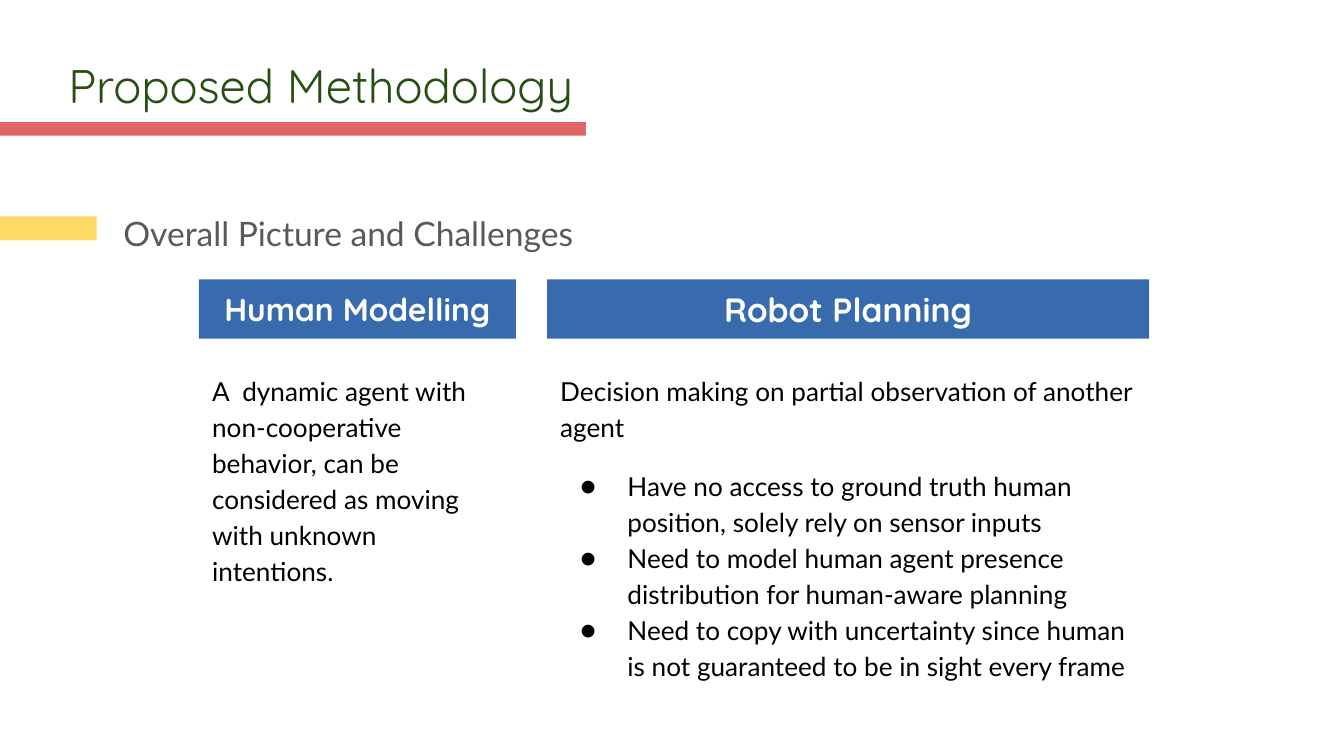
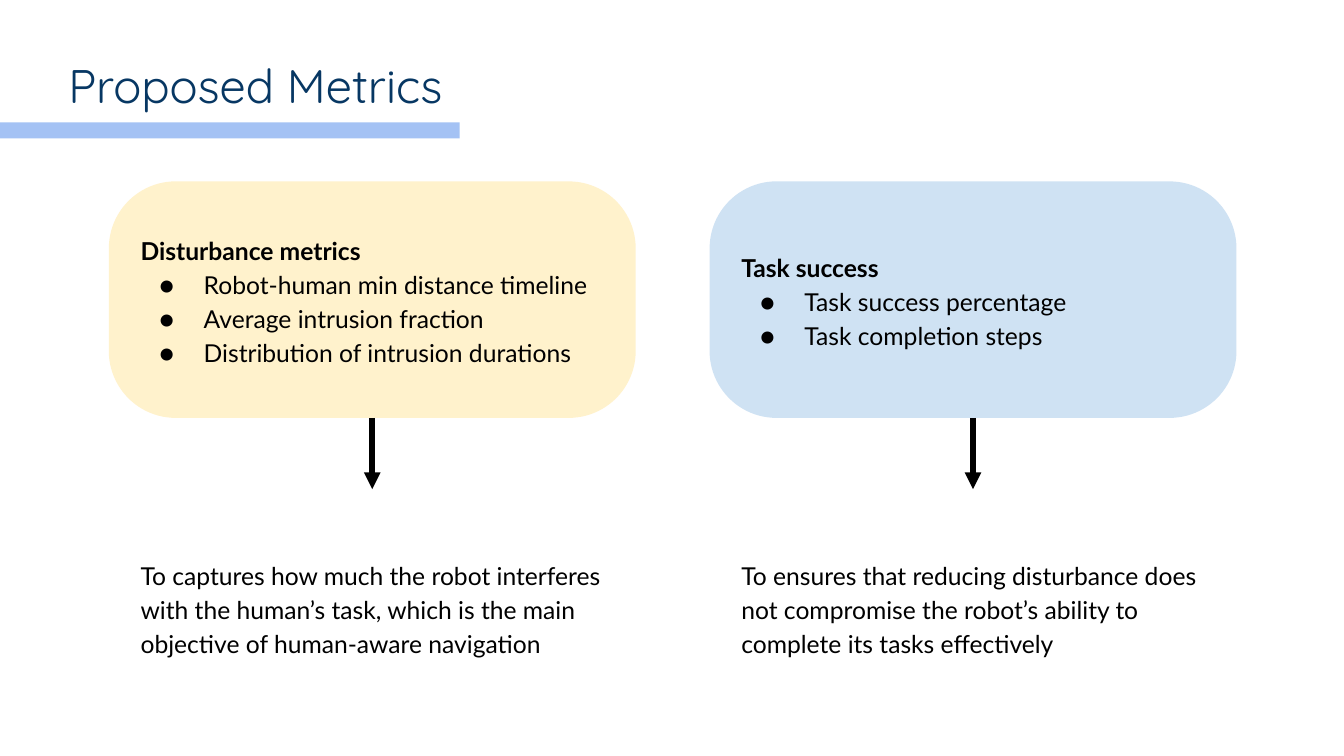
from lxml.etree import SubElement
from pptx import Presentation
from pptx.dml.color import RGBColor
from pptx.enum.shapes import MSO_CONNECTOR, MSO_SHAPE
from pptx.enum.text import MSO_ANCHOR, MSO_AUTO_SIZE, PP_ALIGN
from pptx.oxml.ns import qn
from pptx.util import Emu, Pt

PX = 9144  # 100 px to the inch
SLIDE_WIDTH = 1000
BODY_FONT, HEADING_FONT = "Lato", "Quicksand"
BLACK, WHITE, GREY = "000000", "FFFFFF", "595959"
HEADER_BLUE, MARKER_YELLOW = "386BAE", "FFD966"

METHODOLOGY = {
    "title": "Proposed Methodology", "title_color": "274E13",
    "band_color": "E06666", "band_size": (436, 10),
}
SUBTITLE = "Overall Picture and Challenges"
COLUMNS = [
    {"heading": "Human Modelling", "size": 17, "width": 236, "body_height": 152,
     "body": "A  dynamic agent with non-cooperative behavior, can be considered "
             "as moving with unknown intentions.",
     "bullets": []},
    {"heading": "Robot Planning", "size": 18, "width": 448, "body_height": 250,
     "body": "Decision making on partial observation of another agent",
     "bullets": [
         "Have no access to ground truth human position, solely rely on sensor inputs",
         "Need to model human agent presence distribution for human-aware planning",
         "Need to copy with uncertainty since human is not guaranteed to be in sight "
         "every frame"]},
]
COLUMN_LEFT, COLUMN_GAP = 148, 23
HEADER_TOP, HEADER_HEIGHT, BODY_TOP = 208, 44, 266

METRICS = {
    "title": "Proposed Metrics", "title_color": "073763",
    "band_color": "A4C2F4", "band_size": (342, 12),
}
METRIC_CARDS = [
    {"heading": "Disturbance metrics", "fill": "FFF2CC",
     "bullets": ["Robot-human min distance timeline", "Average intrusion fraction",
                 "Distribution of intrusion durations"],
     "purpose": "To captures how much the robot interferes with the human’s task, "
                "which is the main objective of human-aware navigation"},
    {"heading": "Task success", "fill": "CFE2F3",
     "bullets": ["Task success percentage", "Task completion steps"],
     "purpose": "To ensures that reducing disturbance does not compromise the robot’s "
                "ability to complete its tasks effectively"},
]
CARD_LEFT, CARD_STEP, CARD_SIZE = 81, 447, (392, 176)
CARD_TOP, PURPOSE_TOP, CARD_ROUNDING = 135, 364, 0.283


def px(length):
    return Emu(length * PX)


def rgb(color):
    return RGBColor.from_string(color)


def set_values(target, values):
    for name, value in values.items():
        setattr(target, name, value)


def add_bullet(paragraph, indent, hanging):
    properties = paragraph._p.get_or_add_pPr()
    properties.set("marL", str(px(indent)))
    properties.set("indent", str(-px(hanging)))
    bullet_color = SubElement(properties, qn("a:buClr"))
    SubElement(bullet_color, qn("a:srgbClr"), val=BLACK)
    SubElement(properties, qn("a:buFont"), typeface=BODY_FONT)
    SubElement(properties, qn("a:buChar"), char="●")


def write_paragraph(frame, text, size, font=BODY_FONT, color=BLACK, bold=False,
                    bullet=None, **layout):
    """Fill the empty first paragraph, or append one; bullet is (indent, hanging)."""
    first = frame.paragraphs[0]
    paragraph = frame.add_paragraph() if first.runs else first
    if bullet:
        add_bullet(paragraph, *bullet)
    set_values(paragraph, layout)
    run = paragraph.add_run()
    run.text = text
    set_values(run.font, {"name": font, "size": Pt(size), "bold": bold})
    run.font.color.rgb = rgb(color)


def prepare_frame(shape, inset, **values):
    frame = shape.text_frame
    margins = dict.fromkeys(
        ("margin_left", "margin_top", "margin_right", "margin_bottom"), px(inset))
    set_values(frame, {"word_wrap": True, **margins, **values})
    return frame


def add_text(slide, left, top, width, height, **values):
    box = slide.shapes.add_textbox(px(left), px(top), px(width), px(height))
    return prepare_frame(box, 10, **values)


def add_block(slide, left, top, width, height, fill=None, kind=MSO_SHAPE.RECTANGLE):
    shape = slide.shapes.add_shape(kind, px(left), px(top), px(width), px(height))
    shape.shadow.inherit = False
    shape.line.fill.background()
    if fill:
        shape.fill.solid()
        shape.fill.fore_color.rgb = rgb(fill)
    else:
        shape.fill.background()
    return shape


def add_titled_slide(presentation, heading):
    slide = presentation.slides.add_slide(presentation.slide_layouts[6])
    frame = add_text(slide, 41, 32, 930, 59)
    write_paragraph(frame, heading["title"], 25.2, HEADING_FONT, heading["title_color"])
    add_block(slide, 0, 91, *heading["band_size"], heading["band_color"])
    return slide


def add_card(slide, left, top, fill=None):
    card = add_block(slide, left, top, *CARD_SIZE, fill, MSO_SHAPE.ROUNDED_RECTANGLE)
    card.adjustments[0] = CARD_ROUNDING
    frame = prepare_frame(card, 9, vertical_anchor=MSO_ANCHOR.MIDDLE)
    return card, frame


def add_arrow(slide, upper, lower):
    arrow = slide.shapes.add_connector(MSO_CONNECTOR.STRAIGHT, 0, 0, 0, 0)
    arrow.begin_connect(upper, 2)
    arrow.end_connect(lower, 0)
    arrow.line.width = Pt(3)
    arrow.line.color.rgb = rgb(BLACK)
    SubElement(arrow.line._get_or_add_ln(), qn("a:tailEnd"), type="triangle")
    SubElement(arrow._element.spPr, qn("a:effectLst"))


def build_methodology(presentation):
    slide = add_titled_slide(presentation, METHODOLOGY)
    growing = {"auto_size": MSO_AUTO_SIZE.SHAPE_TO_FIT_TEXT}
    subtitle = add_text(slide, 82, 144, 903, 50, **growing)
    write_paragraph(subtitle, SUBTITLE, 18, color=GREY, line_spacing=1.15,
                    space_after=Pt(12))
    add_block(slide, 0, 161, 72, 18, MARKER_YELLOW)

    left = COLUMN_LEFT
    for column in COLUMNS:
        width = column["width"]
        header = add_block(slide, left, HEADER_TOP, width, HEADER_HEIGHT, HEADER_BLUE)
        header_frame = prepare_frame(header, 10, vertical_anchor=MSO_ANCHOR.MIDDLE)
        write_paragraph(header_frame, column["heading"], column["size"], HEADING_FONT,
                        WHITE, bold=True, alignment=PP_ALIGN.CENTER)
        body = add_text(slide, left, BODY_TOP, width, column["body_height"], **growing)
        write_paragraph(body, column["body"], 14, line_spacing=1.15,
                        space_after=Pt(0 if column["bullets"] else 12))
        for index, text in enumerate(column["bullets"]):
            write_paragraph(body, text, 14, bullet=(50, 35), line_spacing=1.15,
                            space_before=Pt(0 if index else 12))
        left += width + COLUMN_GAP


def build_metrics(presentation):
    slide = add_titled_slide(presentation, METRICS)
    for index, metric in enumerate(METRIC_CARDS):
        left = CARD_LEFT + index * CARD_STEP
        card, frame = add_card(slide, left, CARD_TOP, metric["fill"])
        layout = {"alignment": PP_ALIGN.LEFT, "line_spacing": 1.15}
        write_paragraph(frame, metric["heading"], 13.2, bold=True, **layout)
        for text in metric["bullets"]:
            write_paragraph(frame, text, 13.2, bullet=(47, 33), **layout)
        purpose, purpose_frame = add_card(slide, left, PURPOSE_TOP)
        write_paragraph(purpose_frame, metric["purpose"], 13.2, **layout)
        add_arrow(slide, card, purpose)


def main():
    presentation = Presentation()
    presentation.slide_width = px(SLIDE_WIDTH)
    presentation.slide_height = px(SLIDE_WIDTH) * 9 // 16
    build_methodology(presentation)
    build_metrics(presentation)
    presentation.save("out.pptx")


if __name__ == "__main__":
    main()
